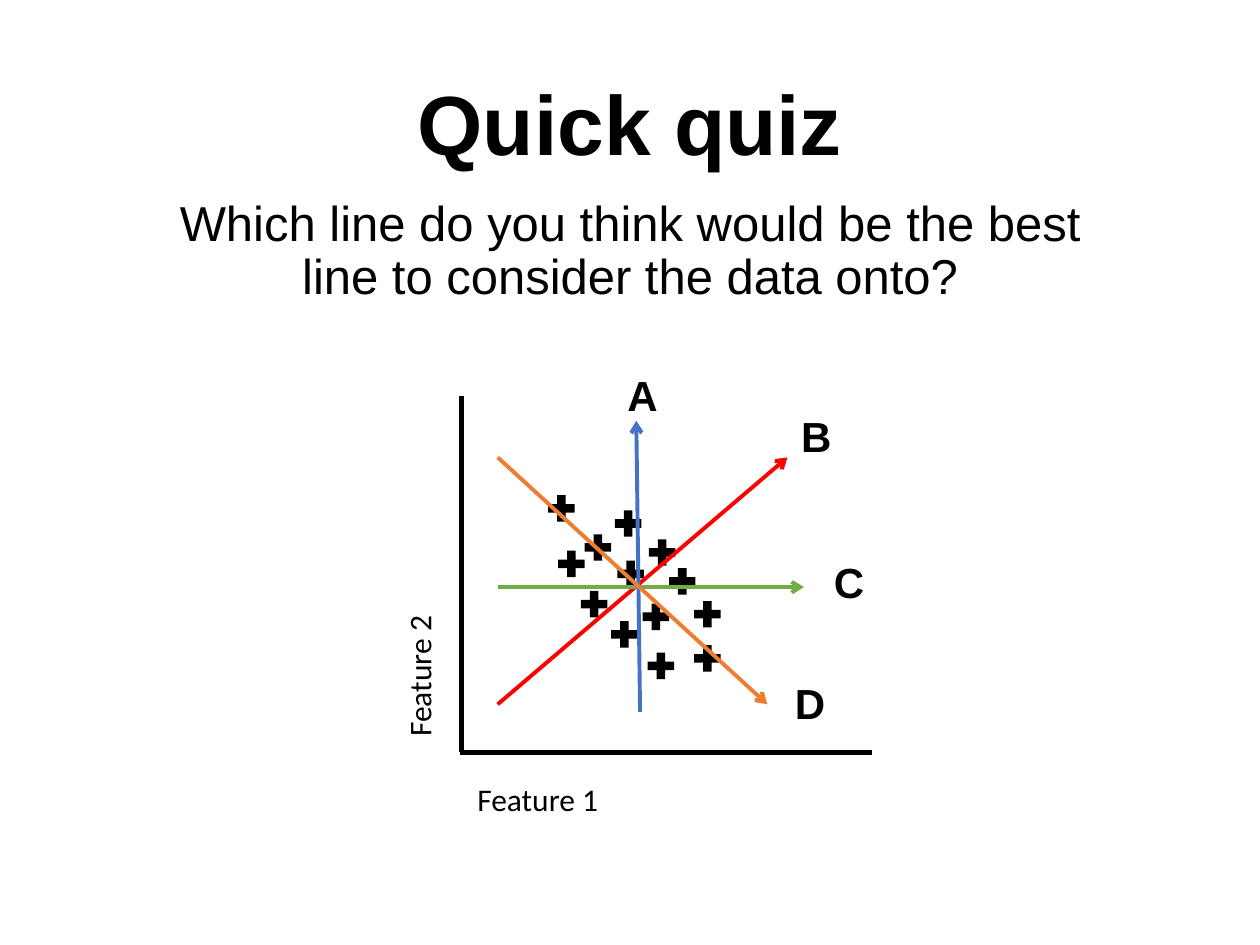
from dataclasses import dataclass

from lxml import etree
from pptx import Presentation
from pptx.dml.color import RGBColor
from pptx.enum.shapes import MSO_CONNECTOR, MSO_SHAPE
from pptx.enum.text import MSO_ANCHOR, MSO_AUTO_SIZE, PP_ALIGN
from pptx.oxml.ns import qn
from pptx.util import Inches, Pt

STRAIGHT = MSO_CONNECTOR.STRAIGHT
PLUS = MSO_SHAPE.CROSS
TOP, BOTTOM = MSO_ANCHOR.TOP, MSO_ANCHOR.BOTTOM
NO_FIT, GROW = MSO_AUTO_SIZE.NONE, MSO_AUTO_SIZE.SHAPE_TO_FIT_TEXT
CENTER = PP_ALIGN.CENTER
BLACK = "000000"
MARK_SIZE = 0.21


@dataclass
class Line:
    start: tuple[float, float]
    end: tuple[float, float]
    color: str = BLACK
    width: float = 3
    arrow: bool = False


@dataclass
class Label:
    text: str
    left: float
    top: float
    width: float = 0.45
    height: float = 0.5
    size: int = 24
    font: str = "Arial"
    bold: bool = True
    wrap: bool = False
    rotation: int = 0


POINTS = [
    (5.51, 5.12), (4.85, 4.93), (5.14, 5.18), (4.9, 4.45),
    (4.64, 4.24), (4.35, 3.93), (5.1, 4.79), (5.15, 4.28),
    (4.43, 4.37), (4.61, 4.69), (5.31, 4.51), (4.88, 4.05),
    (5.51, 4.77),
]
LINES = [
    Line((3.66, 3.14), (3.66, 5.97)),
    Line((6.92, 5.97), (3.65, 5.97)),
    Line((3.95, 5.59), (6.25, 3.63), "FF0000", 2.25, True),
    Line((3.95, 4.66), (6.38, 4.66), "70AD47", 2.25, True),
    Line((5.08, 5.65), (5.05, 3.34), "4472C4", 2.25, True),
    Line((3.95, 3.63), (6.09, 5.59), "ED7D31", 2.25, True),
]
LABELS = [
    Label("Feature 1", 3.69, 6.14, 1.17, 0.4, 18, "Calibri", False, True),
    Label("Feature 2", 2.74, 5.16, 1.17, 0.4, 18, "Calibri", False, True, 270),
    Label("A", 4.88, 2.88),
    Label("B", 6.26, 3.21),
    Label("C", 6.52, 4.37),
    Label("D", 6.21, 5.33),
]


def rgb(value: str) -> RGBColor:
    return RGBColor.from_string(value)


def format_text(p, size: int, font: str, bold: bool) -> None:
    for r in p.runs:
        r.font.size = Pt(size)
        r.font.name = font
        r.font.bold = bold
        r.font.color.rgb = rgb(BLACK)


def fill_placeholder(sp, text: str, box: tuple, size: int, bold: bool, anchor) -> None:
    sp.left, sp.top, sp.width, sp.height = map(Inches, box)
    tf = sp.text_frame
    tf.text = text
    tf.word_wrap = True
    tf.auto_size = NO_FIT
    tf.vertical_anchor = anchor
    p = tf.paragraphs[0]
    p.alignment = CENTER
    p.line_spacing = 0.9
    p.space_before = Pt(0)
    format_text(p, size, "Arial", bold)


def add_mark(s, left: float, top: float) -> None:
    sp = s.shapes.add_shape(PLUS, Inches(left), Inches(top), Inches(MARK_SIZE), Inches(MARK_SIZE))
    sp.adjustments[0] = 0.338
    sp.shadow.inherit = False
    sp.fill.solid()
    sp.fill.fore_color.rgb = rgb(BLACK)
    sp.line.fill.background()


def add_line(s, line: Line) -> None:
    sp = s.shapes.add_connector(STRAIGHT, *map(Inches, line.start + line.end))
    sp.line.color.rgb = rgb(line.color)
    sp.line.width = Pt(line.width)
    if line.arrow:
        etree.SubElement(sp.line._get_or_add_ln(), qn("a:tailEnd"), type="arrow")
    etree.SubElement(sp._element.spPr, qn("a:effectLst"))


def add_label(s, label: Label) -> None:
    box = (label.left, label.top, label.width, label.height)
    sp = s.shapes.add_textbox(*map(Inches, box))
    sp.rotation = label.rotation
    tf = sp.text_frame
    tf.text = label.text
    tf.word_wrap = label.wrap
    tf.auto_size = GROW
    format_text(tf.paragraphs[0], label.size, label.font, label.bold)


def main() -> None:
    prs = Presentation()
    prs.slide_width, prs.slide_height = Inches(10), Inches(7.5)
    s = prs.slides.add_slide(prs.slide_layouts[0])
    fill_placeholder(s.shapes.title, "Quick quiz", (0.75, -1.18, 8.5, 2.61), 48, True, BOTTOM)
    question = "Which line do you think would be the best line to consider the data onto?"
    fill_placeholder(s.placeholders[1], question, (1.25, 1.53, 7.5, 1.81), 28, False, TOP)
    for left, top in POINTS:
        add_mark(s, left, top)
    for line in LINES:
        add_line(s, line)
    for label in LABELS:
        add_label(s, label)
    prs.save("out.pptx")


if __name__ == "__main__":
    main()
